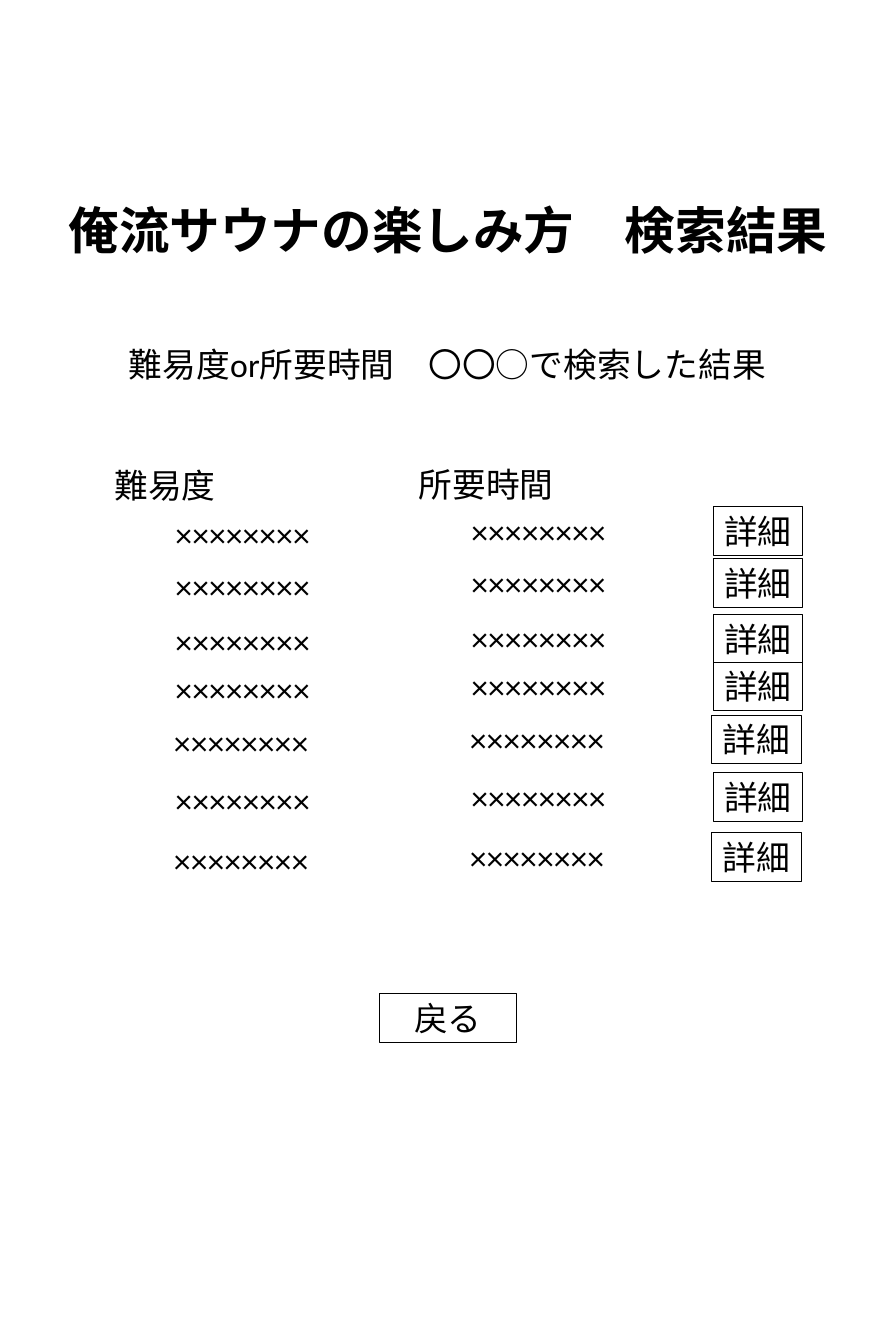
"""Build the sauna search results page."""
from pptx import Presentation
from pptx.dml.color import RGBColor
from pptx.enum.shapes import MSO_SHAPE
from pptx.enum.text import MSO_ANCHOR, MSO_AUTO_SIZE, PP_ALIGN
from pptx.util import Inches, Pt

COLORS = {"ink": "000000"}
INK = RGBColor.from_string(COLORS["ink"])

deck = Presentation()
deck.slide_width = Inches(11.81)
deck.slide_height = Inches(17.72)
slide = deck.slides.add_slide(deck.slide_layouts[5])
shapes = slide.shapes


def write(text, left, top, width, height=0.64, size=32, bold=False,
          boxed=False, shape=None):
    """Place text in a given shape, a bordered button or a plain box."""
    area = [Inches(n) for n in (left, top, width, height)]
    if boxed:
        shape = shapes.add_shape(MSO_SHAPE.RECTANGLE, *area)
        shape.shadow.inherit = False
        shape.fill.background()
        shape.line.color.rgb = INK
        shape.line.width = Pt(1)
    elif shape is None:
        shape = shapes.add_textbox(*area)
    else:
        shape.left, shape.top, shape.width, shape.height = area
    frame = shape.text_frame
    frame.word_wrap = True
    frame.auto_size = MSO_AUTO_SIZE.NONE
    frame.vertical_anchor = MSO_ANCHOR.MIDDLE if boxed else MSO_ANCHOR.TOP
    frame.text = text
    line = frame.paragraphs[0]
    line.alignment = PP_ALIGN.CENTER
    font = line.runs[0].font
    font.name = "Calibri"
    font.size = Pt(size)
    font.bold = bold
    font.color.rgb = INK


write("俺流サウナの楽しみ方　検索結果", 0.22, 2.57, 11.37, 0.91,
      size=48, bold=True, shape=shapes.title)
write("難易度or所要時間　〇〇○で検索した結果", 0.78, 4.49, 10.24)
write("難易度", 1.29, 6.08, 1.77)
write("所要時間", 5.15, 6.07, 2.52)

rows = [(1.25, 6.68), (1.25, 7.37), (1.25, 8.1), (1.25, 8.73),
        (1.23, 9.43), (1.25, 10.19), (1.23, 10.98)]
for left, top in rows:
    write("××××××××", left, top + 0.04, 3.9)
    write("××××××××", left + 3.9, top, 3.9)
    write("詳細", left + 8.15, top, 1.18, boxed=True)

write("戻る", 5, 13.1, 1.81, boxed=True)

deck.save("out.pptx")
